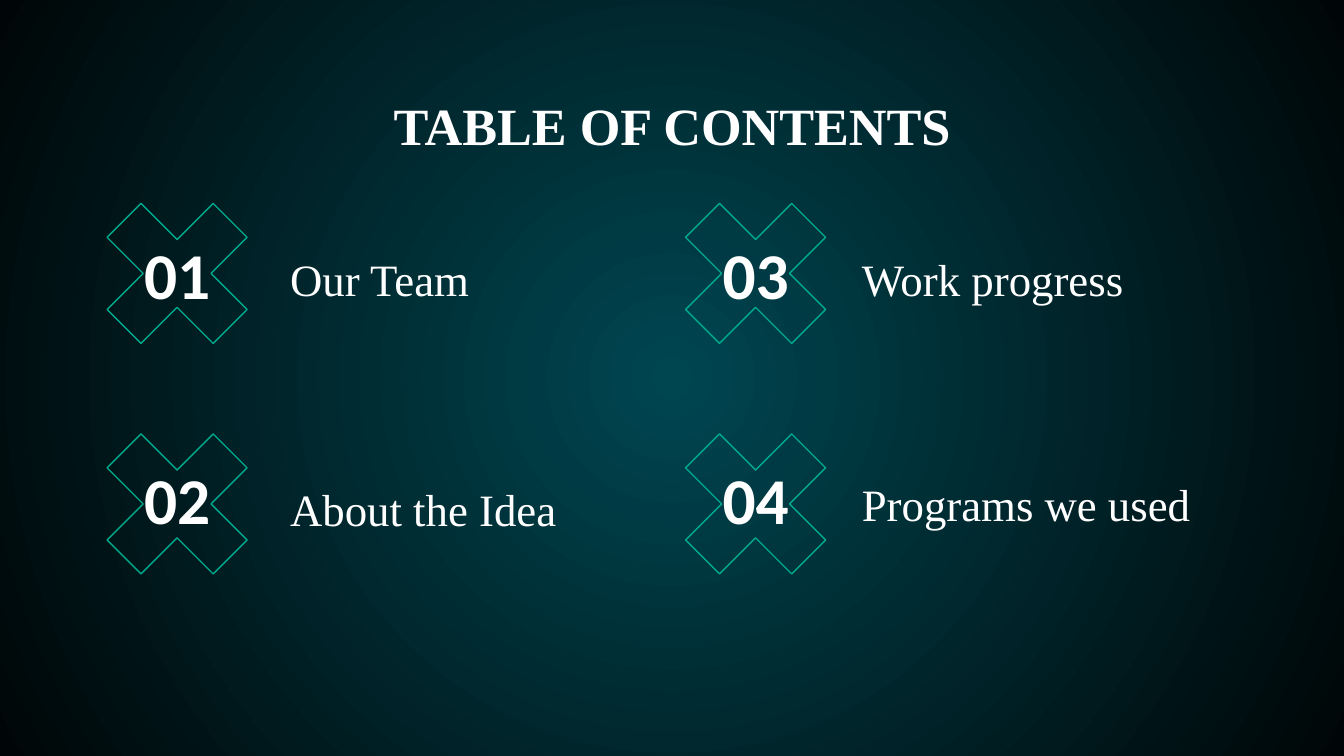
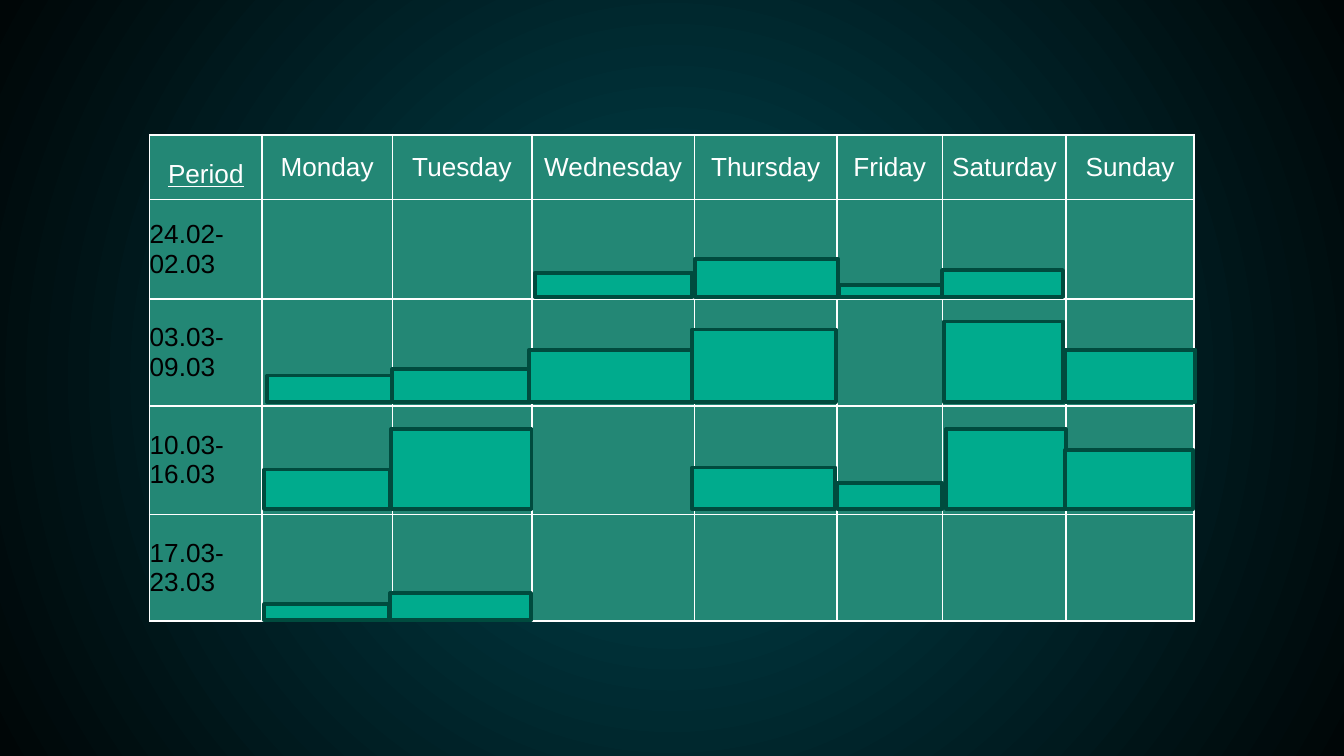
from typing import NamedTuple

from lxml import etree
from pptx import Presentation
from pptx.dml.color import RGBColor
from pptx.enum.shapes import MSO_SHAPE
from pptx.enum.text import MSO_ANCHOR, PP_ALIGN
from pptx.oxml import parse_xml
from pptx.oxml.ns import nsdecls, qn
from pptx.slide import Slide
from pptx.table import _Cell
from pptx.text.text import _Paragraph
from pptx.util import Pt

CROSS = MSO_SHAPE.MATH_MULTIPLY
RECTANGLE = MSO_SHAPE.RECTANGLE
TOP, MIDDLE, BOTTOM = MSO_ANCHOR.TOP, MSO_ANCHOR.MIDDLE, MSO_ANCHOR.BOTTOM
LEFT, CENTER = PP_ALIGN.LEFT, PP_ALIGN.CENTER

GLOW = RGBColor(0x00, 0x46, 0x51)
NIGHT = RGBColor(0x00, 0x06, 0x07)
MINT = RGBColor(0x00, 0xAB, 0x8D)
PINE = RGBColor(0x00, 0x4B, 0x3E)
SEA = RGBColor(0x23, 0x87, 0x75)
WHITE = RGBColor(0xFF, 0xFF, 0xFF)
BLACK = RGBColor(0x00, 0x00, 0x00)


class Box(NamedTuple):
    """A place on the slide, in points."""
    left: float
    top: float
    width: float
    height: float


class TextStyle(NamedTuple):
    font: str
    size: float
    color: RGBColor = WHITE
    bold: bool = False
    align: PP_ALIGN = LEFT
    anchor: MSO_ANCHOR = MIDDLE


class Topic(NamedTuple):
    number: str
    label: str
    column: int
    row: int
    label_box: Box


class Bar(NamedTuple):
    left: float
    width: float
    height: float


class Week(NamedTuple):
    period: str
    row_height: float
    baseline: float
    bars: list[Bar]


TITLE = TextStyle("Times New Roman", 28, bold=True, align=CENTER, anchor=TOP)
NUMBER = TextStyle("Calibri", 35, bold=True, align=CENTER)
LABEL = TextStyle("Times New Roman", 24, anchor=BOTTOM)
DAY = TextStyle("Arial", 14, align=CENTER)
PERIOD = TextStyle("Arial", 14, BLACK)

CROSS_SIZE = 109.4
CROSS_LEFTS = (40.2, 350.1)
CROSS_TOPS = (91.8, 215.3)
NUMBER_TOPS = (128.9, 249.1)
NUMBER_INDENT = 20.9

TOPICS = [
    Topic("01", "Our Team", 0, 0, Box(148.3, 130.3, 121, 40.3)),
    Topic("02", "About the Idea", 0, 1, Box(148.3, 248.7, 163.4, 45.4)),
    Topic("03", "Work progress", 1, 0, Box(454.6, 135, 164.2, 36)),
    Topic("04", "Programs we used", 1, 1, Box(454.6, 256.3, 198, 35.3)),
]

TABLE = Box(80.2, 72.2, 559.6, 260.5)
HEADER_HEIGHT = 34.7
COLUMNS = {
    "Period": 60.2, "Monday": 69.8, "Tuesday": 74.7, "Wednesday": 87.3,
    "Thursday": 76.2, "Friday": 56.7, "Saturday": 66.2, "Sunday": 68.5,
}
WEEKS = [
    Week("24.02-02.03", 53.4, 159.1, [
        Bar(286.6, 84.2, 13), Bar(372.2, 77, 20.2),
        Bar(449.3, 56.2, 6.5), Bar(504.7, 64.8, 14.4)]),
    Week("03.03-09.03", 57.1, 215.4, [
        Bar(143, 67, 14.2), Bar(210.2, 77, 17.6), Bar(283.4, 87.5, 28.1),
        Bar(370.8, 77, 38.9), Bar(505.6, 64.1, 43.2), Bar(570.6, 69.8, 28.1)]),
    Week("10.03-16.03", 58.2, 272.7, [
        Bar(141.6, 67.4, 21.1), Bar(209.5, 75.3, 42.9), Bar(370.8, 76.7, 22.3),
        Bar(448.6, 56.2, 14), Bar(506.9, 64.1, 42.8), Bar(570.7, 68.6, 31.7)]),
    Week("17.03-23.03", 57.1, 332.3, [
        Bar(141.6, 67, 8.6), Bar(208.8, 75.6, 14.4)]),
]


def points(box: Box) -> list[Pt]:
    return [Pt(length) for length in box]


def add_slide(deck: Presentation) -> Slide:
    """Add a blank slide with a glow at its centre."""
    slide = deck.slides.add_slide(deck.slide_layouts[6])
    fill = slide.background.fill
    fill.gradient()
    for stop, color, position in zip(fill.gradient_stops, (GLOW, NIGHT), (0, 1)):
        stop.color.rgb = color
        stop.position = position
    gradient = next(slide.background._cSld.iter(qn("a:gradFill")))
    gradient.replace(gradient.find(qn("a:lin")), parse_xml(
        f'<a:path {nsdecls("a")} path="circle">'
        '<a:fillToRect l="50000" t="50000" r="50000" b="50000"/></a:path>'))
    return slide


def format_paragraph(paragraph: _Paragraph, style: TextStyle) -> None:
    paragraph.alignment = style.align
    for run in paragraph.runs:
        run.font.name = style.font
        run.font.size = Pt(style.size)
        run.font.bold = style.bold
        run.font.color.rgb = style.color


def add_text(slide: Slide, text: str, box: Box, style: TextStyle) -> None:
    frame = slide.shapes.add_textbox(*points(box)).text_frame
    frame.word_wrap = True
    frame.vertical_anchor = style.anchor
    frame.margin_left = frame.margin_right = Pt(7.2)
    frame.margin_top = frame.margin_bottom = Pt(7.2)
    frame.text = text
    format_paragraph(frame.paragraphs[0], style)


def add_cross(slide: Slide, left: float, top: float) -> None:
    cross = slide.shapes.add_shape(
        CROSS, *points(Box(left, top, CROSS_SIZE, CROSS_SIZE)))
    cross.adjustments[0] = 0.235
    cross.shadow.inherit = False
    cross.fill.background()
    cross.line.color.rgb = MINT
    cross.line.width = Pt(0.75)


def add_bar(slide: Slide, bar: Bar, baseline: float) -> None:
    """Stand a bar on the baseline of its week."""
    rectangle = slide.shapes.add_shape(RECTANGLE, *points(
        Box(bar.left, baseline - bar.height, bar.width, bar.height)))
    rectangle.shadow.inherit = False
    rectangle.fill.solid()
    rectangle.fill.fore_color.rgb = MINT
    rectangle.line.color.rgb = PINE
    rectangle.line.width = Pt(2)


def format_cell(cell: _Cell) -> None:
    cell.margin_left = cell.margin_right = 0
    cell.margin_top = cell.margin_bottom = 0
    cell.vertical_anchor = MIDDLE
    properties = cell._tc.get_or_add_tcPr()
    for side in ("a:lnL", "a:lnR", "a:lnT", "a:lnB"):
        border = etree.SubElement(properties, qn(side), w=str(Pt(1)))
        solid = etree.SubElement(border, qn("a:solidFill"))
        etree.SubElement(solid, qn("a:srgbClr"), val=str(WHITE))
    cell.fill.solid()
    cell.fill.fore_color.rgb = SEA


def write_cell(cell: _Cell, text: str, style: TextStyle) -> None:
    cell.text_frame.text = text
    format_paragraph(cell.text_frame.paragraphs[0], style)


def add_schedule(slide: Slide) -> None:
    schedule = slide.shapes.add_table(
        len(WEEKS) + 1, len(COLUMNS), *points(TABLE)).table
    schedule.first_row = schedule.horz_banding = False
    for column, width in zip(schedule.columns, COLUMNS.values()):
        column.width = Pt(width)
    heights = [HEADER_HEIGHT] + [week.row_height for week in WEEKS]
    for row, height in zip(schedule.rows, heights):
        row.height = Pt(height)
    for cell in schedule.iter_cells():
        format_cell(cell)
    for index, heading in enumerate(COLUMNS):
        write_cell(schedule.cell(0, index), heading, DAY)
    for index, week in enumerate(WEEKS, start=1):
        write_cell(schedule.cell(index, 0), week.period, PERIOD)
    period_heading = schedule.cell(0, 0).text_frame.paragraphs[0]
    period_heading.line_spacing = 1.5
    period_heading.runs[0].font.underline = True


def build_contents(deck: Presentation) -> None:
    slide = add_slide(deck)
    add_text(slide, "TABLE OF CONTENTS", Box(56.2, 42.8, 607.7, 45.4), TITLE)
    for topic in TOPICS:
        left = CROSS_LEFTS[topic.column]
        add_cross(slide, left, CROSS_TOPS[topic.row])
        number_box = Box(left + NUMBER_INDENT, NUMBER_TOPS[topic.row], 67.7, 35.3)
        add_text(slide, topic.number, number_box, NUMBER)
        add_text(slide, topic.label, topic.label_box, LABEL)


def build_progress(deck: Presentation) -> None:
    slide = add_slide(deck)
    add_schedule(slide)
    for week in WEEKS:
        for bar in week.bars:
            add_bar(slide, bar, week.baseline)


def main() -> None:
    deck = Presentation()
    deck.slide_width, deck.slide_height = Pt(720), Pt(405)
    build_contents(deck)
    build_progress(deck)
    deck.save("out.pptx")


if __name__ == "__main__":
    main()
